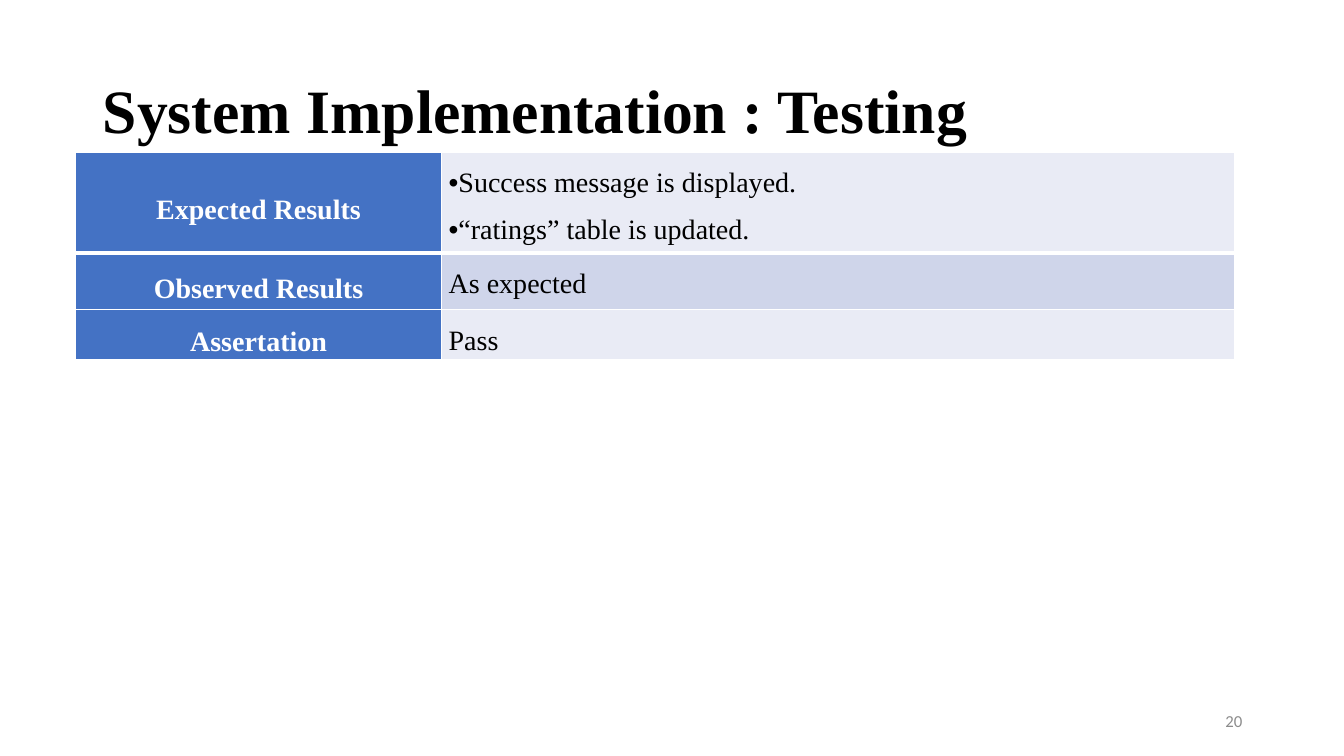
from lxml import etree
from pptx import Presentation
from pptx.dml.color import RGBColor
from pptx.enum.text import MSO_ANCHOR, MSO_AUTO_SIZE, PP_ALIGN
from pptx.oxml.ns import qn
from pptx.util import Inches, Pt

LEFT, CENTER, RIGHT, JUSTIFY = PP_ALIGN.LEFT, PP_ALIGN.CENTER, PP_ALIGN.RIGHT, PP_ALIGN.JUSTIFY
TOP, MIDDLE = MSO_ANCHOR.TOP, MSO_ANCHOR.MIDDLE
SERIF, SANS = "Times New Roman", "Calibri"
COLORS = {"black": "000000", "white": "FFFFFF", "label": "4472C4",
          "odd": "E9EBF5", "even": "CFD5EA", "number": "8C8C8C"}

# Content
TITLE = "System Implementation : Testing"
SLIDE_NUMBER = "20"
RESULTS = [  # label, lines, row height
    ("Expected Results", ["Success message is displayed.", "“ratings” table is updated."], 0.99),
    ("Observed Results", ["As expected"], 0.56),
    ("Assertation", ["Pass"], 0.47),
]
COLUMN_WIDTHS = [3.63, 7.87]


def format_paragraph(paragraph, size, color, align, spacing=1.0, bold=False, font=SERIF):
    paragraph.alignment = align
    paragraph.line_spacing = spacing
    paragraph.font.name = font
    paragraph.font.size = Pt(size)
    paragraph.font.bold = bold
    paragraph.font.color.rgb = RGBColor.from_string(COLORS[color])


def add_bullet(paragraph):
    properties = paragraph._p.get_or_add_pPr()
    properties.set("marL", "0")
    properties.set("indent", str(-Inches(0.38)))
    etree.SubElement(properties, qn("a:buFont"), typeface="Arial")
    etree.SubElement(properties, qn("a:buChar"), char="•")


def set_borders(cell, widths):
    properties = cell._tc.get_or_add_tcPr()
    for index, (side, width) in enumerate(widths.items()):
        line = etree.Element(qn("a:ln" + side), w=str(Pt(width)))
        fill = etree.SubElement(line, qn("a:solidFill"))
        etree.SubElement(fill, qn("a:srgbClr"), val=COLORS["white"])
        properties.insert(index, line)


def fill_cell(cell, lines, fill, color, align, anchor, bold, borders):
    cell.fill.solid()
    cell.fill.fore_color.rgb = RGBColor.from_string(COLORS[fill])
    cell.margin_left = cell.margin_right = Inches(0.07)
    cell.margin_top = cell.margin_bottom = 0
    cell.vertical_anchor = anchor
    cell.text_frame.text = "\n".join(lines)
    for paragraph in cell.text_frame.paragraphs:
        if len(lines) > 1:
            add_bullet(paragraph)
        format_paragraph(paragraph, 20, color, align, 1.5, bold)
    set_borders(cell, borders)


presentation = Presentation()
presentation.slide_width, presentation.slide_height = Inches(13.33), Inches(7.5)
slide = presentation.slides.add_slide(presentation.slide_layouts[5])

# Title
title = slide.shapes.title
title.left, title.top, title.width, title.height = map(Inches, (0.92, 0.4, 11.5, 1.45))
title.text_frame.text = TITLE
title.text_frame.auto_size = MSO_AUTO_SIZE.NONE
title.text_frame.vertical_anchor = MIDDLE
format_paragraph(title.text_frame.paragraphs[0], 44, "black", LEFT, 0.9, True)

# Slide number
number = slide.shapes.add_textbox(*map(Inches, (9.42, 6.95, 3, 0.4)))
number.text_frame.word_wrap = True
number.text_frame.vertical_anchor = MIDDLE
number.text_frame.text = SLIDE_NUMBER
format_paragraph(number.text_frame.paragraphs[0], 12, "number", RIGHT, font=SANS)

# Results table
heights = [height for _, _, height in RESULTS]
table = slide.shapes.add_table(
    len(RESULTS), len(COLUMN_WIDTHS), Inches(0.75), Inches(1.51),
    Inches(sum(COLUMN_WIDTHS)), Inches(sum(heights))).table
for column, width in zip(table.columns, COLUMN_WIDTHS):
    column.width = Inches(width)
for index, (label, lines, height) in enumerate(RESULTS):
    table.rows[index].height = Inches(height)
    borders = {"L": 1, "R": 1, "T": 3 if index == 1 else 1, "B": 3 if index == 0 else 1}
    band = "even" if index % 2 else "odd"
    fill_cell(table.cell(index, 0), [label], "label", "white", CENTER, MIDDLE, True, borders)
    fill_cell(table.cell(index, 1), lines, band, "black", JUSTIFY, TOP, False, borders)

presentation.save("out.pptx")
